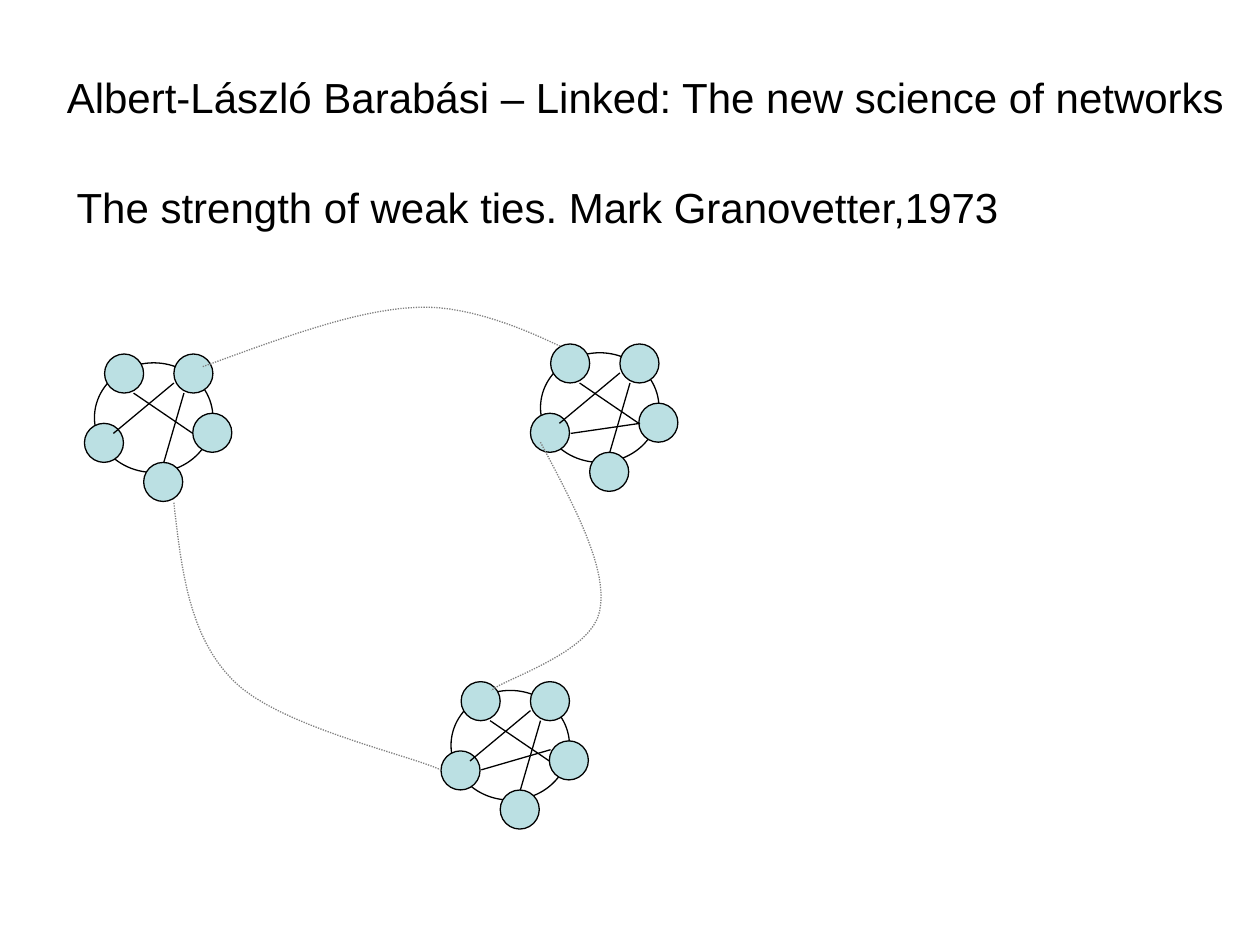
"""Build a slide of three tight clusters of nodes joined by weak ties."""
from lxml.etree import SubElement
from pptx import Presentation
from pptx.dml.color import RGBColor as RGB
from pptx.enum.dml import MSO_LINE as Dash
from pptx.enum.shapes import MSO_CONNECTOR as Conn, MSO_SHAPE as Kind
from pptx.enum.text import MSO_ANCHOR as Anchor, MSO_AUTO_SIZE as Fit, PP_ALIGN as Align
from pptx.oxml.ns import qn
from pptx.util import Inches, Pt

COLORS = {"ink": "000000", "node": "BBE0E3", "weak": "808080"}
RING = (0.94, 0.87)
NODE = 0.31
NODES = [(0.08, -0.07), (0.63, -0.07), (-0.08, 0.48), (0.39, 0.79), (0.78, 0.4)]
TIES = [((0.55, 0.79), (0.71, 0.24)), ((0.15, 0.56), (0.63, 0.16)), ((0.78, 0.56), (0.31, 0.24))]
GROUPS = [(0.75, 2.88, TIES), (3.58, 5.48, TIES + [((0.24, 0.63), (0.79, 0.47))]),
          (4.29, 2.8, TIES + [((0.24, 0.64), (0.79, 0.56))])]
CURVES = [
    [(1.61, 2.91), (2.22, 2.69), (2.82, 2.46), (3.3, 2.44), (3.77, 2.41), (4.34, 2.7), (4.45, 2.75)],
    [(4.29, 3.51), (4.56, 4.02), (4.83, 4.52), (4.76, 4.85), (4.7, 5.18), (4, 5.39), (3.9, 5.48)],
    [(1.38, 3.99), (1.44, 4.52), (1.5, 5.05), (1.85, 5.4), (2.2, 5.76), (3.24, 5.99), (3.5, 6.11)],
]
STEPS = 16


def write(shape, text, size=24, font="Arial", color="ink"):
    frame = shape.text_frame
    frame.word_wrap = True
    frame.auto_size = Fit.NONE
    frame.vertical_anchor = Anchor.TOP
    para = frame.paragraphs[0]
    para.text = text
    para.alignment = Align.LEFT
    para.font.size = Pt(size)
    para.font.name = font
    para.font.color.rgb = RGB.from_string(COLORS[color])


def style(shape, fill=None, line="ink"):
    shape.shadow.inherit = False
    if fill:
        shape.fill.solid()
        shape.fill.fore_color.rgb = RGB.from_string(COLORS[fill])
    else:
        shape.fill.background()
    shape.line.color.rgb = RGB.from_string(COLORS[line])
    shape.line.width = Pt(0.75)


deck = Presentation()
deck.slide_width, deck.slide_height = Inches(10), Inches(7.5)
slide = deck.slides.add_slide(deck.slide_layouts[5])
shapes = slide.shapes

title = shapes.title
title.left, title.top = Inches(0.43), Inches(0.52)
title.width, title.height = Inches(9.57), Inches(0.5)
write(title, "Albert-László Barabási – Linked: The new science of networks")
paper = shapes.add_textbox(Inches(0.51), Inches(1.39), Inches(8.66), Inches(0.5))
write(paper, "The strength of weak ties. Mark Granovetter,1973")

for left, top, ties in GROUPS:
    ring = shapes.add_shape(Kind.OVAL, Inches(left), Inches(top), *map(Inches, RING))
    style(ring)
    for x, y in NODES:
        node = shapes.add_shape(Kind.OVAL, Inches(left + x), Inches(top + y), Inches(NODE), Inches(NODE))
        style(node, fill="node")
    for (x1, y1), (x2, y2) in ties:
        tie = shapes.add_connector(Conn.STRAIGHT, Inches(left + x1), Inches(top + y1),
                                   Inches(left + x2), Inches(top + y2))
        tie.line.color.rgb = RGB.from_string(COLORS["ink"])
        tie.line.width = Pt(0.75)
        SubElement(tie._element.spPr, qn("a:effectLst"))

for curve in CURVES:
    points = []
    for start in (0, 3):
        a, b, c, d = curve[start:start + 4]
        for step in range(1, STEPS + 1):
            t = step / STEPS
            u = 1 - t
            points.append(tuple(Inches(u**3 * p + 3 * u * u * t * q + 3 * u * t * t * r + t**3 * s)
                                for p, q, r, s in zip(a, b, c, d)))
    pen = shapes.build_freeform(*map(Inches, curve[0]))
    pen.add_line_segments(points, close=False)
    weak = pen.convert_to_shape()
    style(weak, line="weak")
    weak.line.dash_style = Dash.ROUND_DOT

deck.save("out.pptx")
